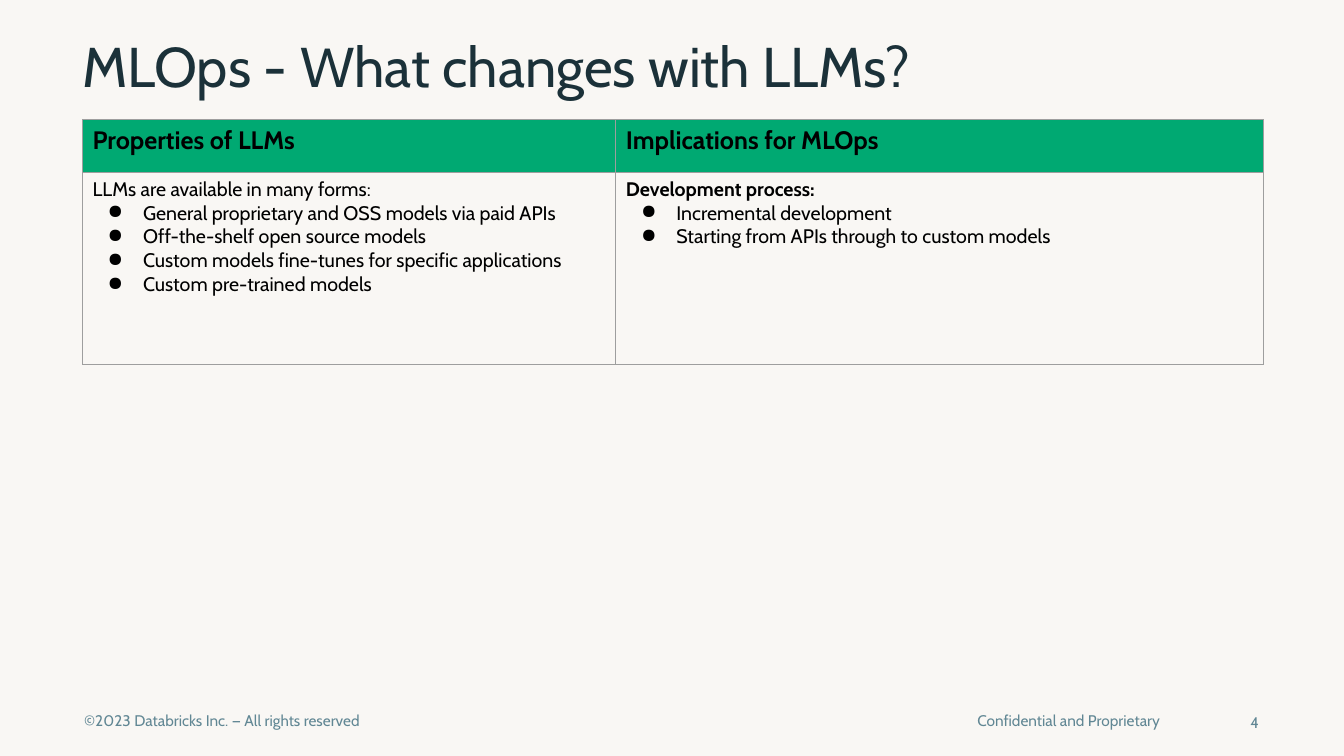
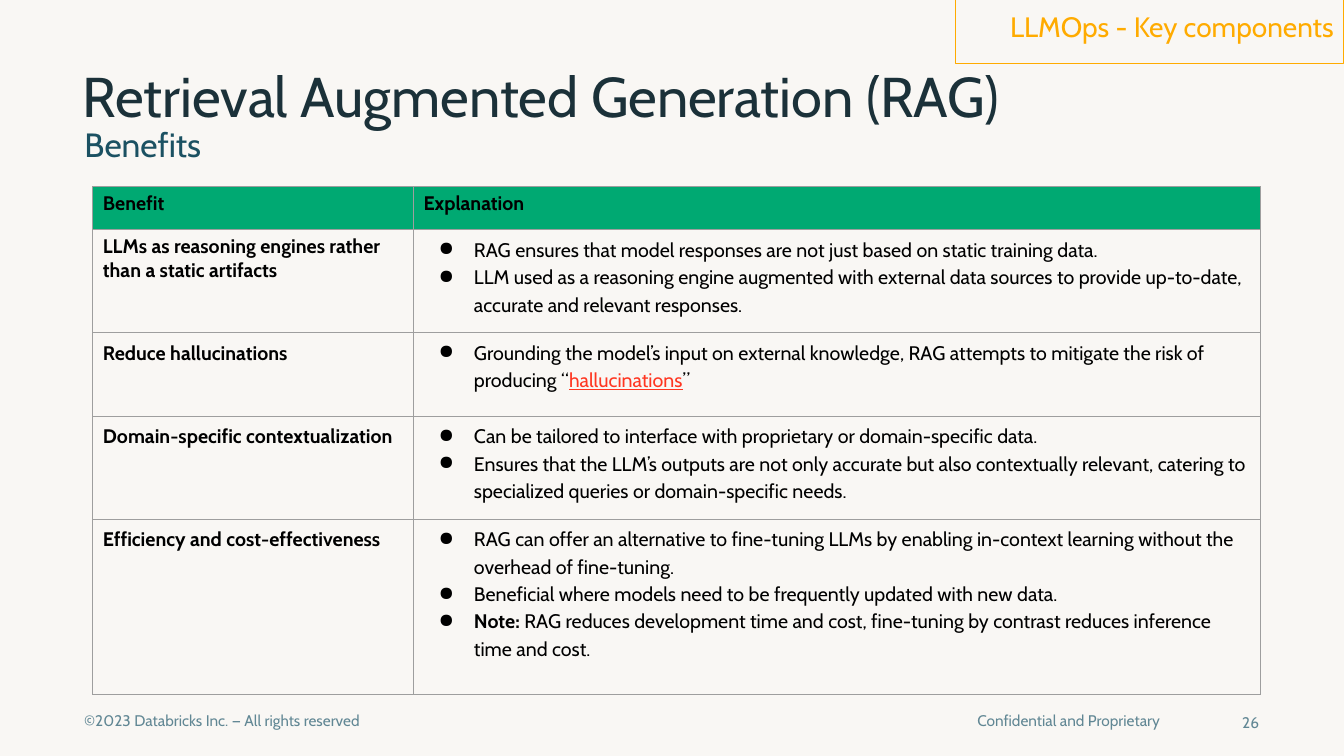
from lxml import etree
from pptx import Presentation
from pptx.dml.color import RGBColor as RGB
from pptx.enum.shapes import MSO_SHAPE as Shape
from pptx.enum.text import MSO_ANCHOR as Anchor, PP_ALIGN as Align
from pptx.oxml.ns import qn
from pptx.util import Cm, Pt

FONT = "Cabin"
PAPER = RGB(0xF9, 0xF7, 0xF4)
NAVY = RGB(0x1B, 0x31, 0x39)
TEAL = RGB(0x1B, 0x51, 0x62)
SLATE = RGB(0x61, 0x87, 0x94)
GREEN = RGB(0x00, 0xA9, 0x72)
AMBER = RGB(0xFF, 0xAB, 0x00)
RED = RGB(0xFF, 0x36, 0x21)
BLACK = RGB(0, 0, 0)
GREY = RGB(0x9E, 0x9E, 0x9E)


def add(parent, tag, **attrs):
    node = etree.SubElement(parent, qn(tag))
    for key, value in attrs.items():
        node.set(key, str(value))
    return node


def write(frame, text, size=14, color=BLACK, bold=False, align=Align.LEFT,
          gap=None, dot=False):
    """Add a paragraph; text is a string or a list of (string, format) runs."""
    first = frame.paragraphs[0]
    para = frame.add_paragraph() if first.runs else first
    para.alignment = align
    if gap:
        para.line_spacing = gap
    if dot:
        props = para._p.get_or_add_pPr()
        props.set("marL", str(Cm(1.27)))
        props.set("indent", str(-Cm(0.89)))
        add(add(props, "a:buClr"), "a:srgbClr", val=BLACK)
        add(props, "a:buChar", char="●")
    for words, style in [(text, {})] if isinstance(text, str) else text:
        run = para.add_run()
        run.text = words
        font = run.font
        font.name, font.size = FONT, Pt(size)
        font.bold = style.get("bold", bold)
        font.underline = style.get("under", False)
        font.color.rgb = style.get("color", color)


def line(text, **style):
    return [(text, style)]


def dots(*items, **style):
    return [(item, dict(style, dot=True)) for item in items]


class Deck:
    def __init__(self):
        self.file = Presentation()
        self.file.slide_width, self.file.slide_height = Cm(33.87), Cm(19.05)
        fill = self.file.slide_master.background.fill
        fill.solid()
        fill.fore_color.rgb = PAPER

    def page(self, number):
        """Start a slide with its footer."""
        self.slide = self.file.slides.add_slide(self.file.slide_layouts[6])
        small = dict(size=11, color=SLATE)
        self.text("©2023 Databricks Inc. — All rights reserved",
                  1.8, 17.68, 14.94, 1.14, pad=0.32, **small)
        self.text("Confidential and Proprietary",
                  17.75, 17.68, 11.81, 1.14, pad=0.32, align=Align.RIGHT, **small)
        self.text(str(number), 30.84, 17.98, 0.89, 0.51, align=Align.RIGHT, **small)

    def fit(self, frame, pad, anchor=Anchor.TOP):
        frame.word_wrap = True
        frame.vertical_anchor = anchor
        frame.margin_left = frame.margin_right = Cm(pad)
        frame.margin_top = frame.margin_bottom = Cm(pad)

    def text(self, text, x, y, w, h, pad=0, anchor=Anchor.TOP, **style):
        box = self.slide.shapes.add_textbox(Cm(x), Cm(y), Cm(w), Cm(h))
        self.fit(box.text_frame, pad, anchor)
        write(box.text_frame, text, **style)

    def title(self, text, y, h):
        self.text(text, 2.08, y, 29.62, h, anchor=Anchor.MIDDLE,
                  size=40, color=NAVY, gap=0.9)

    def tag(self, text):
        """Label in the top right corner."""
        box = self.slide.shapes.add_shape(
            Shape.RECTANGLE, Cm(24.09), 0, Cm(9.78), Cm(1.6))
        box.shadow.inherit = False
        box.fill.background()
        box.line.color.rgb, box.line.width = AMBER, Pt(0.75)
        self.fit(box.text_frame, 0.25)
        write(box.text_frame, text, size=20, color=AMBER, align=Align.RIGHT)

    def cell(self, cell, lines, head):
        props = cell._tc.get_or_add_tcPr()
        for side in "LRTB":
            edge = add(props, f"a:ln{side}", w=Pt(0.75))
            add(add(edge, "a:solidFill"), "a:srgbClr", val=GREY)
        if head:
            cell.fill.solid()
            cell.fill.fore_color.rgb = GREEN
        else:
            cell.fill.background()
        self.fit(cell.text_frame, 0.25)
        for text, style in lines:
            write(cell.text_frame, text, **style)

    def table(self, x, y, cols, rows, data):
        grid = self.slide.shapes.add_table(
            len(rows), len(cols), Cm(x), Cm(y), Cm(sum(cols)), Cm(sum(rows))).table
        grid.first_row = grid.horz_banding = False
        for col, width in zip(grid.columns, cols):
            col.width = Cm(width)
        for r, (row, height) in enumerate(zip(grid.rows, rows)):
            row.height = Cm(height)
            for cell, lines in zip(row.cells, data[r]):
                self.cell(cell, lines, head=r == 0)


def main():
    deck = Deck()

    # What changes with LLMs
    deck.page(4)
    deck.title("MLOps - What changes with LLMs?", 0.64, 2.24)
    deck.table(2.08, 3.02, [13.44, 16.33], [1.32, 4.85], [
        [line("Properties of LLMs", size=18, bold=True),
         line("Implications for MLOps", size=18, bold=True)],
        [line("LLMs are available in many forms:") + dots(
            "General proprietary and OSS models via paid APIs",
            "Off-the-shelf open source models",
            "Custom models fine-tunes for specific applications",
            "Custom pre-trained models"),
         line("Development process:", bold=True) + dots(
            "Incremental development",
            "Starting from APIs through to custom models")],
    ])

    # Benefits of RAG
    deck.page(26)
    deck.title("Retrieval Augmented Generation (RAG)", 1.7, 1.63)
    deck.text("Benefits", 2.13, 3.25, 29.62, 1.63, size=24, color=TEAL, gap=0.9)
    deck.tag("LLMOps - Key components")
    loose = dict(gap=1.15)
    label = dict(bold=True, gap=1.15)
    deck.table(2.34, 4.7, [8.08, 21.34], [1.09, 2.59, 2.11, 2.59, 4.42], [
        [line("Benefit", bold=True), line("Explanation", bold=True)],
        [line("LLMs as reasoning engines rather than a static artifacts", bold=True),
         dots("RAG ensures that model responses are not just based on static "
              "training data.",
              "LLM used as a reasoning engine augmented with external data sources "
              "to provide up-to-date, accurate and relevant responses.", **loose)],
        [line("Reduce hallucinations", **label),
         dots([("Grounding the model’s input on external knowledge, RAG attempts "
                "to mitigate the risk of producing “", {}),
               ("hallucinations", dict(color=RED, under=True)),
               ("”", {})], **loose)],
        [line("Domain-specific contextualization", **label),
         dots("Can be tailored to interface with proprietary or domain-specific data.",
              "Ensures that the LLM’s outputs are not only accurate but also "
              "contextually relevant, catering to specialized queries or "
              "domain-specific needs.", **loose)],
        [line("Efficiency and cost-effectiveness", **label),
         dots("RAG can offer an alternative to fine-tuning LLMs by enabling "
              "in-context learning without the overhead of fine-tuning.",
              "Beneficial where models need to be frequently updated with new data.",
              [("Note:", dict(bold=True)),
               (" RAG reduces development time and cost, fine-tuning by contrast "
                "reduces inference time and cost.", {})], **loose)],
    ])

    deck.file.save("out.pptx")


if __name__ == "__main__":
    main()
